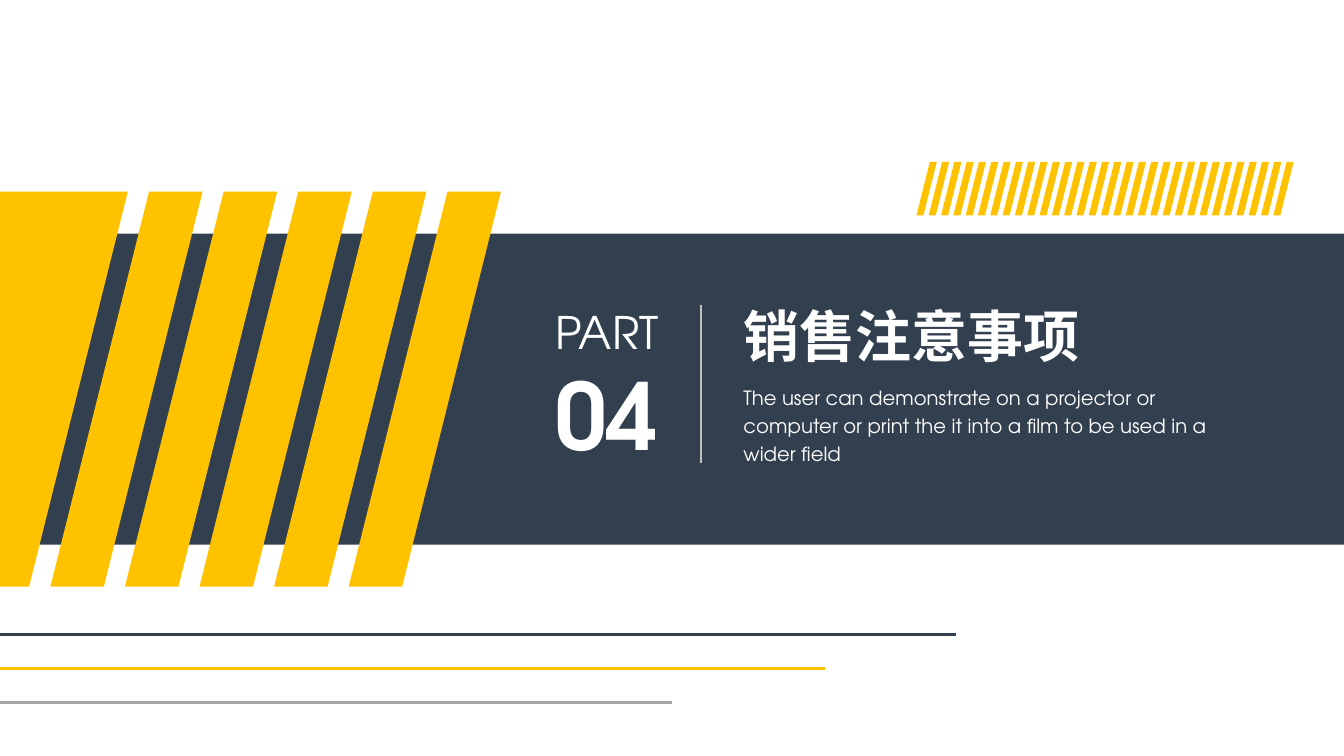
from lxml import etree
from pptx import Presentation
from pptx import util as u
from pptx.dml.color import RGBColor
from pptx.enum import shapes, text
from pptx.oxml import ns

NAVY = RGBColor(0x32, 0x3F, 0x4F)
YELLOW = RGBColor(0xFF, 0xC2, 0x00)
GREY = RGBColor(0xA6, 0xA6, 0xA6)
LIGHT_GREY = RGBColor(0xBF, 0xBF, 0xBF)
WHITE = RGBColor(0xFF, 0xFF, 0xFF)
LATIN_FONT = "TeX Gyre Adventor"
CHINESE_FONT = "Noto Sans CJK SC"
SLIDE_WIDTH, SLIDE_HEIGHT = 960, 540


class SlidePainter:
    """Draws styled elements on one slide; all lengths are in points."""

    slant = 0.25  # sideways shift of a stripe per unit of height

    def __init__(self, page):
        self.page = page

    def paint(self, shape, color):
        shape.fill.solid()
        shape.fill.fore_color.rgb = color
        shape.line.fill.background()
        shape.shadow.inherit = False

    def band(self, left, top, width, height, color):
        box = self.page.shapes.add_shape(
            shapes.MSO_SHAPE.RECTANGLE,
            u.Pt(left), u.Pt(top), u.Pt(width), u.Pt(height))
        self.paint(box, color)

    def stripe(self, left, top, width, height, color):
        """Slanted stripe; left is the position of its lower left corner."""
        shift = height * self.slant
        corners = [
            (left + shift, top),
            (left + shift + width, top),
            (left + width, top + height),
            (left, top + height),
        ]
        points = [(u.Pt(x), u.Pt(y)) for x, y in corners]
        builder = self.page.shapes.build_freeform(*points[0], scale=1.0)
        builder.add_line_segments(points[1:], close=True)
        self.paint(builder.convert_to_shape(), color)

    def line(self, start, end, color, weight):
        rule = self.page.shapes.add_connector(
            shapes.MSO_CONNECTOR.STRAIGHT,
            *(u.Pt(value) for value in (*start, *end)))
        rule.line.color.rgb = color
        rule.line.width = u.Pt(weight)
        etree.SubElement(rule._element.spPr, ns.qn("a:effectLst"))

    def text(self, left, top, width, height, lines, font=LATIN_FONT,
             align=text.PP_ALIGN.LEFT, wrap=False, spacing=1.0):
        """Text box; lines holds (words, size, bold) for each paragraph."""
        box = self.page.shapes.add_textbox(
            u.Pt(left), u.Pt(top), u.Pt(width), u.Pt(height))
        frame = box.text_frame
        frame.text = "\n".join(words for words, _, _ in lines)
        frame.word_wrap = wrap
        frame.auto_size = text.MSO_AUTO_SIZE.SHAPE_TO_FIT_TEXT
        for para, (_, size, bold) in zip(frame.paragraphs, lines):
            para.alignment = align
            para.line_spacing = spacing
            for span in para.runs:
                span.font.name = font
                span.font.size = u.Pt(size)
                span.font.bold = bold
                span.font.color.rgb = WHITE
                etree.SubElement(span.font._element, ns.qn("a:ea"), typeface=font)


def main():
    deck = Presentation()
    deck.slide_width, deck.slide_height = u.Pt(SLIDE_WIDTH), u.Pt(SLIDE_HEIGHT)
    painter = SlidePainter(deck.slides.add_slide(deck.slide_layouts[6]))

    # Dark band across the slide
    painter.band(0, 167, SLIDE_WIDTH, 222, NAVY)

    # Large stripes, with a wide one at the left edge
    for index in range(5):
        painter.stripe(36 + 53.28 * index, 136.8, 38.2, 282.2, YELLOW)
    painter.stripe(-81.4, 136.8, 102.2, 282.2, YELLOW)

    # Lines at the bottom
    bottom_lines = [(683, NAVY), (589, YELLOW), (480, GREY)]
    for index, (length, color) in enumerate(bottom_lines):
        y = 453.4 + 24.3 * index
        painter.line((0, y), (length, y), color, 2.25)

    # Row of small stripes
    for index in range(30):
        painter.stripe(654.6 + 8.79 * index, 115.7, 5, 38.2, YELLOW)

    # Part number, divider, title and description
    painter.line((500.5, 217.8), (500.5, 330.6), LIGHT_GREY, 1.5)
    painter.text(388, 213.8, 90.8, 126,
                 [("PART", 32, False), ("04", 66, True)],
                 align=text.PP_ALIGN.CENTER)
    painter.text(524, 211.7, 257, 55.4, [("销售注意事项", 40, True)],
                 font=CHINESE_FONT)
    painter.text(524, 268.6, 376.6, 68.4,
                 [("The user can demonstrate on a projector or computer or "
                   "print the it into a film to be used in a wider field",
                   14, False)],
                 wrap=True, spacing=1.2)

    deck.save("out.pptx")


if __name__ == "__main__":
    main()
